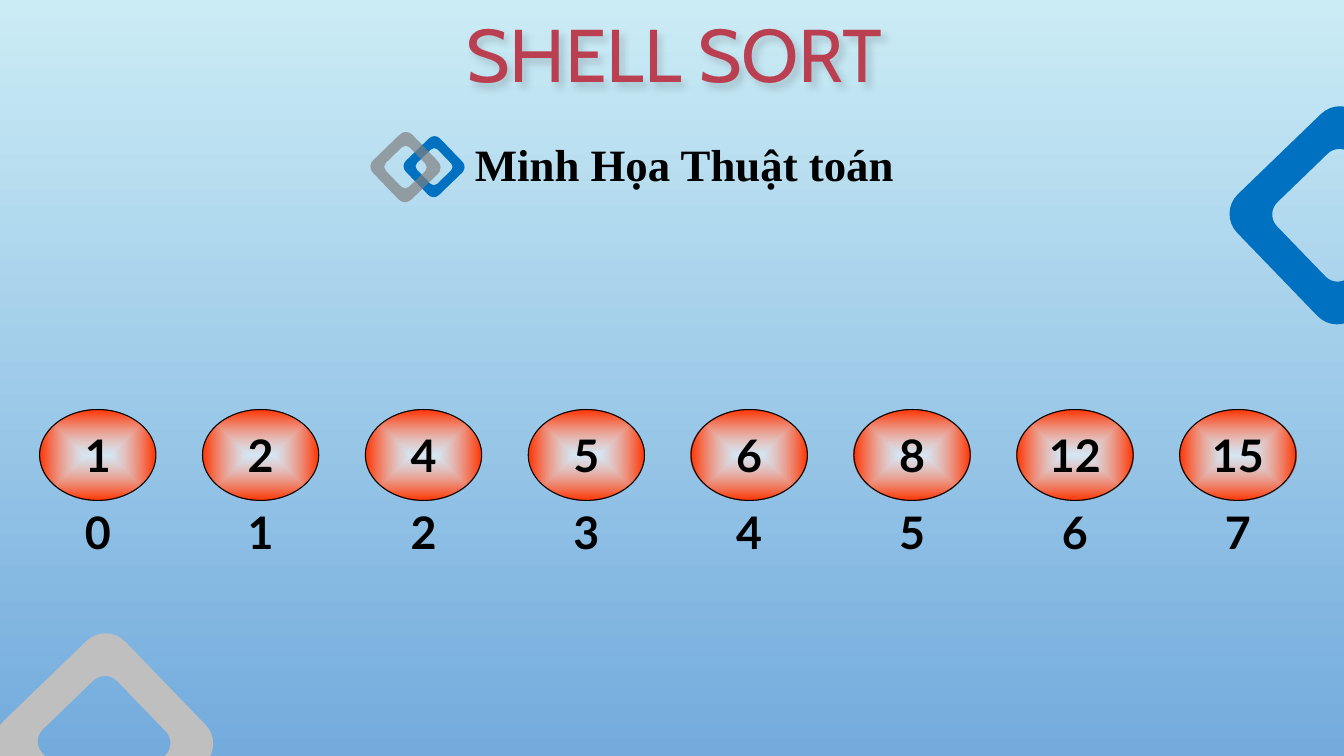
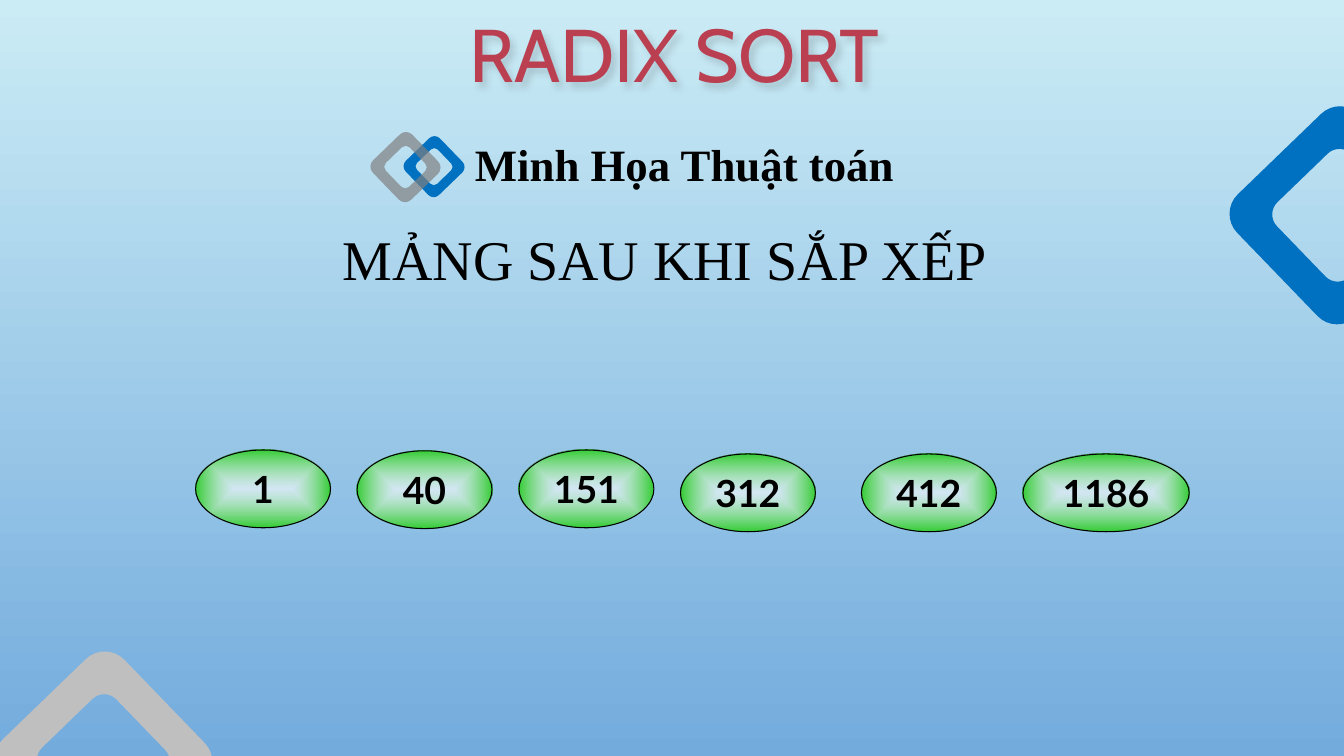
import copy

import pptx
import pptx.dml.color
import pptx.enum.shapes
import pptx.enum.text
import pptx.oxml
import pptx.oxml.ns
import pptx.util

Cm = pptx.util.Cm
Pt = pptx.util.Pt
RGBColor = pptx.dml.color.RGBColor
MIDDLE = pptx.enum.text.MSO_ANCHOR.MIDDLE
TOP = pptx.enum.text.MSO_ANCHOR.TOP
CENTER = pptx.enum.text.PP_ALIGN.CENTER
LEFT = pptx.enum.text.PP_ALIGN.LEFT
qn = pptx.oxml.ns.qn

SKY = RGBColor(0xCB, 0xEC, 0xF5)
SEA = RGBColor(0x73, 0xAB, 0xDD)
BLUE = RGBColor(0x00, 0x70, 0xC0)
SILVER = RGBColor(0xBF, 0xBF, 0xBF)
GRAY = RGBColor(0x80, 0x80, 0x80)
BLACK = RGBColor(0x00, 0x00, 0x00)
WHITE = RGBColor(0xFF, 0xFF, 0xFF)
ORANGE = RGBColor(0xFF, 0x33, 0x00)
GREEN = RGBColor(0x33, 0xCC, 0x33)
DARK_ROSE = RGBColor(0x5D, 0x20, 0x28)
ROSE = RGBColor(0xBA, 0x3F, 0x51)
LIGHT_ROSE = RGBColor(0xD7, 0x8A, 0x95)

TITLE_FONT = "Cabin"
NUMBER_FONT = "Lato"
TEXT_FONT = "Times New Roman"
ARC_RATIO = 0.55


def make_element(tag, **attributes):
    element = pptx.oxml.parse_xml(f"<a:{tag} {pptx.oxml.ns.nsdecls('a')}/>")
    for name, value in attributes.items():
        element.set(name, str(value))
    return element


def set_alpha(parent, percent):
    color = next(parent.iter(qn("a:srgbClr")))
    color.append(make_element("alpha", val=percent * 1000))


def set_gradient(fill, first, last):
    fill.gradient()
    for stop, color in zip(fill.gradient_stops, (first, last)):
        stop.color.rgb = color


def write_text(shape, text, font_name, size, color=BLACK, bold=False,
               align=CENTER, anchor=MIDDLE):
    frame = shape.text_frame
    frame.word_wrap = True
    frame.auto_size = pptx.enum.text.MSO_AUTO_SIZE.NONE
    frame.vertical_anchor = anchor
    paragraph = frame.paragraphs[0]
    paragraph.alignment = align
    run = paragraph.add_run()
    run.text = text
    run.font.name = font_name
    run.font.size = Pt(size)
    run.font.bold = bold
    run.font.color.rgb = color
    return run


def add_label(slide, text, left, top, width, height, size, **style):
    box = slide.shapes.add_textbox(Cm(left), Cm(top), Cm(width), Cm(height))
    box.text_frame.margin_left = box.text_frame.margin_right = 0
    write_text(box, text, TEXT_FONT, size, **style)


def add_title(slide, text):
    title = slide.shapes.title
    title.left, title.top, title.width, title.height = 0, 0, Cm(34), Cm(2.67)
    run = write_text(title, text, TITLE_FONT, 53.3)
    set_gradient(run.font.fill, DARK_ROSE, LIGHT_ROSE)
    run.font.fill.gradient_angle = 270
    stops = next(title.element.iter(qn("a:gsLst")))
    middle = copy.deepcopy(stops[0])
    middle.set("pos", "50000")
    middle[0].set("val", str(ROSE))
    stops.insert(1, middle)

    effects = make_element("effectLst")
    shadow = make_element("outerShdw", blurRad=Pt(5), dist=Pt(4),
                          dir=2700000, algn="tl", rotWithShape=0)
    shadow.append(make_element("srgbClr", val=BLACK))
    set_alpha(shadow, 15)
    effects.append(shadow)
    title.element.spPr.append(effects)


def corner_points(center_x, center_y, side, radius):
    half = side / 2
    flat = half - radius
    offsets = ((half, flat), (flat, half), (-flat, half), (-half, flat),
               (-half, -flat), (-flat, -half), (flat, -half), (half, -flat))
    return [(Cm(center_x + x), Cm(center_y + y)) for x, y in offsets]


def round_corners(shape):
    outline = next(shape.element.iter(qn("a:path")))
    for segment in list(outline):
        if segment.tag == qn("a:moveTo"):
            index = 0
        elif segment.tag == qn("a:lnTo"):
            index += 1
        else:
            continue
        end = int(segment[0].get("x")), int(segment[0].get("y"))
        if index % 2:
            if index % 4 == 1:
                vertex = start[0], end[1]
            else:
                vertex = end[0], start[1]
            curve = make_element("cubicBezTo")
            for anchor in (start, end):
                x, y = (round(a + ARC_RATIO * (v - a))
                        for a, v in zip(anchor, vertex))
                curve.append(make_element("pt", x=x, y=y))
            curve.append(make_element("pt", x=end[0], y=end[1]))
            outline.replace(segment, curve)
        start = end


def add_diamond_ring(slide, left, top, side, color, alpha=100):
    center = left + side / 2, top + side / 2
    outer = corner_points(*center, side, side * 0.16)
    inner = corner_points(*center, side * 0.61, side * 0.1)[::-1]
    builder = slide.shapes.build_freeform(*outer[0])
    builder.add_line_segments(outer[1:])
    builder.move_to(*inner[0])
    builder.add_line_segments(inner[1:])
    ring = builder.convert_to_shape()
    round_corners(ring)
    ring.rotation = 316
    ring.shadow.inherit = False
    ring.fill.solid()
    ring.fill.fore_color.rgb = color
    if alpha < 100:
        set_alpha(ring.element.spPr, alpha)
    ring.line.fill.background()


def add_oval(slide, text, left, top, width, height, size, color=None):
    oval = slide.shapes.add_shape(pptx.enum.shapes.MSO_SHAPE.OVAL, Cm(left),
                                  Cm(top), Cm(width), Cm(height))
    oval.shadow.inherit = False
    if color is None:
        oval.fill.background()
        oval.line.fill.background()
    else:
        set_gradient(oval.fill, WHITE, color)
        gradient = oval.element.spPr.find(qn("a:gradFill"))
        set_alpha(gradient, 60)
        gradient.remove(gradient.find(qn("a:lin")))
        shading = make_element("path", path="shape")
        shading.append(make_element("fillToRect", l=50000, t=50000,
                                    r=50000, b=50000))
        gradient.append(shading)
        oval.line.color.rgb = BLACK
        oval.line.width = Pt(0.75)
    write_text(oval, text, NUMBER_FONT, size, bold=True)


def add_sort_slide(presentation, title, corner_left, corner_top):
    slide = presentation.slides.add_slide(presentation.slide_layouts[5])
    add_title(slide, title)
    add_diamond_ring(slide, corner_left, corner_top, 4.29, SILVER)
    add_diamond_ring(slide, 31.59, 3.28, 4.29, BLUE)
    add_label(slide, "Minh Họa Thuật toán", 11.97, 3.43, 11.3, 1.4, 32,
              bold=True, align=LEFT)
    add_diamond_ring(slide, 10.34, 3.6, 1.2, BLUE)
    add_diamond_ring(slide, 9.53, 3.52, 1.38, GRAY, alpha=69)
    return slide


def add_shell_sort(presentation):
    slide = add_sort_slide(presentation, "SHELL SORT", 0.48, 16.56)
    values = (1, 2, 4, 5, 6, 8, 12, 15)
    first_left, last_left = 1, 29.73
    pitch = (last_left - first_left) / (len(values) - 1)
    for index, value in enumerate(values):
        left = first_left + index * pitch
        add_oval(slide, str(value), left, 10.32, 2.93, 2.29, 32, ORANGE)
        add_oval(slide, str(index), left, 12.25, 2.93, 2.29, 32)


def add_radix_sort(presentation):
    slide = add_sort_slide(presentation, "RADIX SORT", 0.46, 17.02)
    ovals = (
        ("1", 4.93, 11.34, 3.4),
        ("40", 9, 11.36, 3.4),
        ("151", 13.08, 11.34, 3.4),
        ("312", 17.15, 11.44, 3.4),
        ("412", 21.71, 11.44, 3.4),
        ("1186", 25.78, 11.44, 4.19),
    )
    for text, left, top, width in ovals:
        add_oval(slide, text, left, top, width, 1.96, 26.7, GREEN)
    add_label(slide, "MẢNG SAU KHI SẮP XẾP", 2.81, 5.54, 27.89, 1.96, 40,
              anchor=TOP)


def main():
    presentation = pptx.Presentation()
    presentation.slide_width = Cm(33.87)
    presentation.slide_height = Cm(19.05)
    background = presentation.slide_master.background.fill
    set_gradient(background, SKY, SEA)
    background.gradient_angle = 270
    add_shell_sort(presentation)
    add_radix_sort(presentation)
    presentation.save("out.pptx")


if __name__ == "__main__":
    main()
